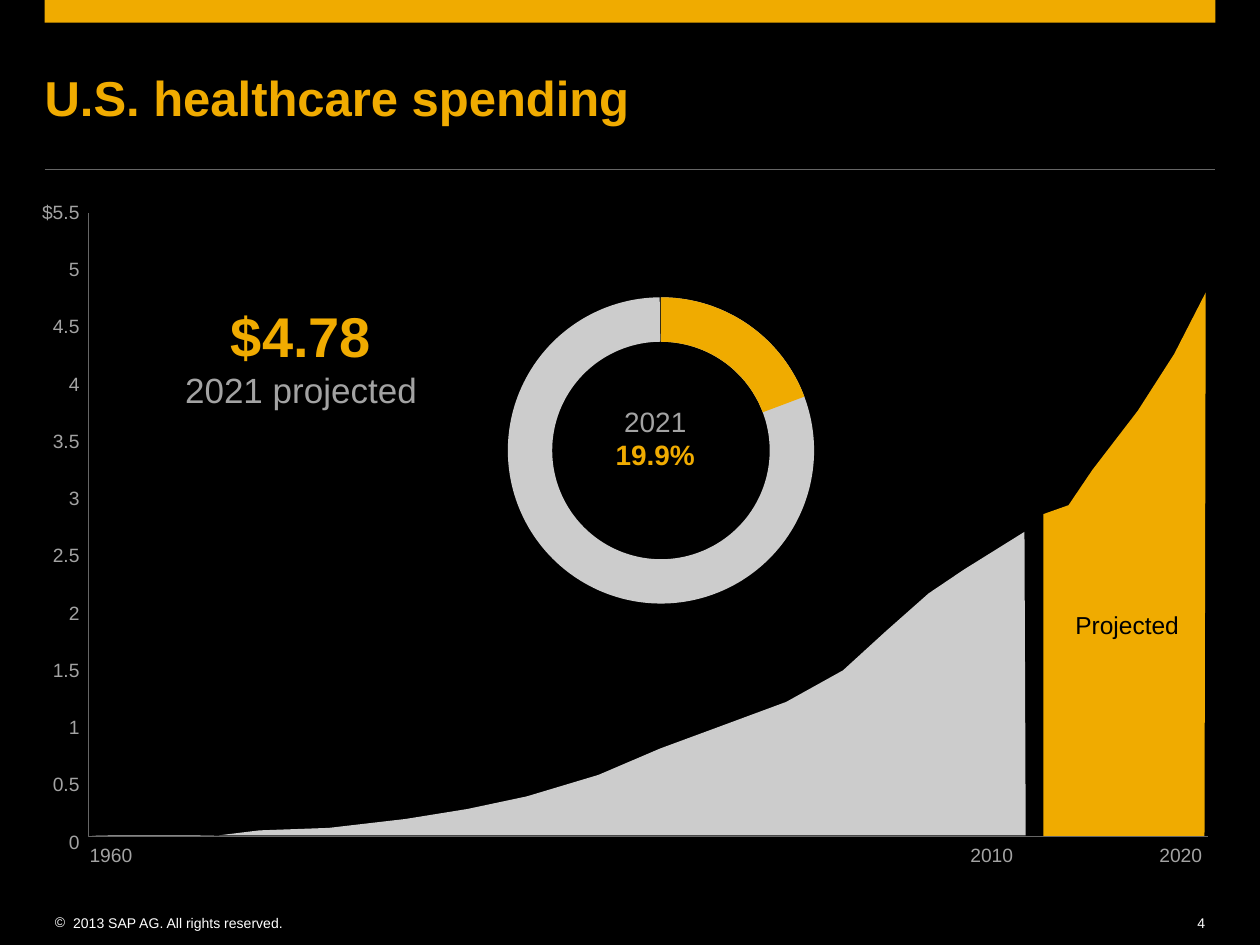
from dataclasses import dataclass

from lxml import etree
from pptx import Presentation
from pptx import util as u
from pptx.dml.color import RGBColor
from pptx.enum import shapes, text
from pptx.oxml import ns

Pt = u.Pt


@dataclass(frozen=True)
class Theme:
    font: str = "Arial"
    back: str = "000000"
    gold: str = "F0AB00"
    silver: str = "CCCCCC"
    grey: str = "A3A3A3"
    rule: str = "666666"
    white: str = "FFFFFF"
    title: int = 28
    figure: int = 32
    caption: int = 20
    ring: int = 16
    note: int = 14
    axis: int = 11
    footer: int = 8


THEME = Theme()
LEFT, CENTER, RIGHT = text.PP_ALIGN.LEFT, text.PP_ALIGN.CENTER, text.PP_ALIGN.RIGHT

HISTORY = [
    (2.2, 0.7), (36, 0), (74.2, 0.7), (97.9, 3.6), (137.5, 5), (181.4, 10.1),
    (216.7, 15.8), (250.6, 23), (291.6, 35.3), (326.9, 50.4), (360, 62.6),
    (398.9, 77), (431.3, 95), (455.8, 117.4), (480.2, 139), (500.4, 152.6),
    (535, 174.2), (535.7, 0.7),
]
PROJECTION = [
    (545.8, 0), (545.8, 184.3), (560.2, 189.4), (573.8, 209.5),
    (599.8, 243.4), (620.6, 275.8), (638.6, 311), (637.9, 0),
]


def paint(shape, color):
    shape.shadow.inherit = False
    shape.fill.solid()
    shape.fill.fore_color.rgb = RGBColor.from_string(color)
    shape.line.fill.background()


def style(span, size, color, bold=False):
    span.font.name = THEME.font
    span.font.size = Pt(size)
    span.font.bold = bold
    span.font.color.rgb = RGBColor.from_string(color)


def set_margins(frame, margins):
    (frame.margin_left, frame.margin_top,
     frame.margin_right, frame.margin_bottom) = map(Pt, margins)


def add_label(page, box, lines, align=CENTER, margins=(7.2, 3.6, 7.2, 3.6), gap=0):
    label = page.shapes.add_textbox(*map(Pt, box))
    frame = label.text_frame
    frame.word_wrap = False
    set_margins(frame, margins)
    frame.text = "\n".join(line[0] for line in lines)
    for index, (para, line) in enumerate(zip(frame.paragraphs, lines)):
        para.alignment = align
        para.space_before = Pt(gap if index else 0)
        style(para.runs[0], *line[1:])
    return label


def add_outline(page, box, points, close):
    left, top, width, height = box
    spots = [(Pt(left + x), Pt(top + height - y)) for x, y in points]
    builder = page.shapes.build_freeform(*spots[0])
    builder.add_line_segments(spots[1:], close=close)
    return builder.convert_to_shape()


def build_header(page, box):
    left, top, width, height = box
    bar = page.shapes.add_shape(
        shapes.MSO_SHAPE.RECTANGLE, Pt(left), Pt(top), Pt(width), Pt(13))
    paint(bar, THEME.gold)

    rule = page.shapes.add_connector(
        shapes.MSO_CONNECTOR.STRAIGHT,
        Pt(left), Pt(top + height), Pt(left + width), Pt(top + height))
    rule.line.color.rgb = RGBColor.from_string(THEME.rule)
    rule.line.width = Pt(0.5)
    etree.SubElement(rule.element.spPr, ns.qn("a:effectLst"))

    title = page.shapes.title
    title.left, title.top = Pt(left), Pt(top + 25.2)
    title.width, title.height = Pt(width), Pt(60)
    frame = title.text_frame
    frame.text = "U.S. healthcare spending"
    frame.word_wrap = True
    frame.auto_size = text.MSO_AUTO_SIZE.NONE
    frame.vertical_anchor = text.MSO_ANCHOR.MIDDLE
    set_margins(frame, (0, 0, 0, 0))
    para = frame.paragraphs[0]
    para.alignment = LEFT
    style(para.runs[0], THEME.title, THEME.gold, True)


def build_chart(page, box):
    left, top, width, height = box
    paint(add_outline(page, box, HISTORY, True), THEME.silver)
    paint(add_outline(page, box, PROJECTION, True), THEME.gold)

    axes = add_outline(page, box, [(0, height), (0, 0), (width, 0)], False)
    axes.shadow.inherit = False
    axes.fill.background()
    axes.line.color.rgb = RGBColor.from_string(THEME.rule)
    axes.line.width = Pt(0.75)

    ticks = ["$5.5"] + [f"{half / 2:g}" for half in range(10, -1, -1)]
    add_label(page, (left - 33.8, top - 10.8, 36, 389.5),
              [(tick, THEME.axis, THEME.grey) for tick in ticks], RIGHT, gap=19.5)
    for year, offset in (("1960", -7.2), ("2010", 496.1), ("2020", 604.1)):
        add_label(page, (left + offset, top + height, 39.6, 20.9),
                  [(year, THEME.axis, THEME.grey)], RIGHT)
    add_label(page, (left + 556.6, top + 223.2, 74.2, 24.5),
              [("Projected", THEME.note, THEME.back)])


def build_ring(page, box):
    left, top, width, height = box
    ring = page.shapes.add_group_shape()
    for sweep, color in ((215.718, THEME.silver), (41.666, THEME.gold)):
        arc = ring.shapes.add_shape(shapes.MSO_SHAPE.BLOCK_ARC, *map(Pt, box))
        arc.rotation = 270
        for index, value in enumerate((0, sweep, 0.145)):
            arc.adjustments[index] = value
        paint(arc, color)
    add_label(page, (left + 54, top + 57.6, 60.5, 46.1),
              [("2021", THEME.ring, THEME.grey),
               ("19.9%", THEME.ring, THEME.gold, True)])


def build_callout(page, box):
    add_label(page, box,
              [("$4.78", THEME.figure, THEME.gold, True),
               ("2021 projected", THEME.caption, THEME.grey)])


def build_footer(page, box):
    left, top, width, height = box
    notice = add_label(
        page, (left, top, 139, height),
        [("2013 SAP AG. All rights reserved.", THEME.footer, THEME.white)],
        LEFT, (5.8, 0, 0, 0))
    props = notice.text_frame.paragraphs[0]._p.get_or_add_pPr()
    props.set("marL", str(Pt(10.5)))
    props.set("indent", str(-Pt(10.5)))
    tint = etree.SubElement(props, ns.qn("a:buClr"))
    etree.SubElement(tint, ns.qn("a:srgbClr"), val=THEME.white)
    etree.SubElement(props, ns.qn("a:buFont"), typeface=THEME.font)
    etree.SubElement(props, ns.qn("a:buChar"), char="©")
    add_label(page, (left + width - 16, top, 16, height),
              [("4", THEME.footer, THEME.white)], RIGHT, (0, 0, 5.8, 0))


def main():
    deck = Presentation()
    deck.slide_width, deck.slide_height = Pt(720), Pt(540)
    page = deck.slides.add_slide(deck.slide_layouts[5])
    page.background.fill.solid()
    page.background.fill.fore_color.rgb = RGBColor.from_string(THEME.back)
    build_header(page, (25.5, 0, 669, 97))
    build_chart(page, (50.4, 121.7, 640, 356.4))
    build_ring(page, (290.2, 169.9, 175, 175))
    build_callout(page, (97.9, 168.5, 148.3, 70.6))
    build_footer(page, (25.5, 522.7, 669, 9.4))
    deck.save("out.pptx")


if __name__ == "__main__":
    main()
